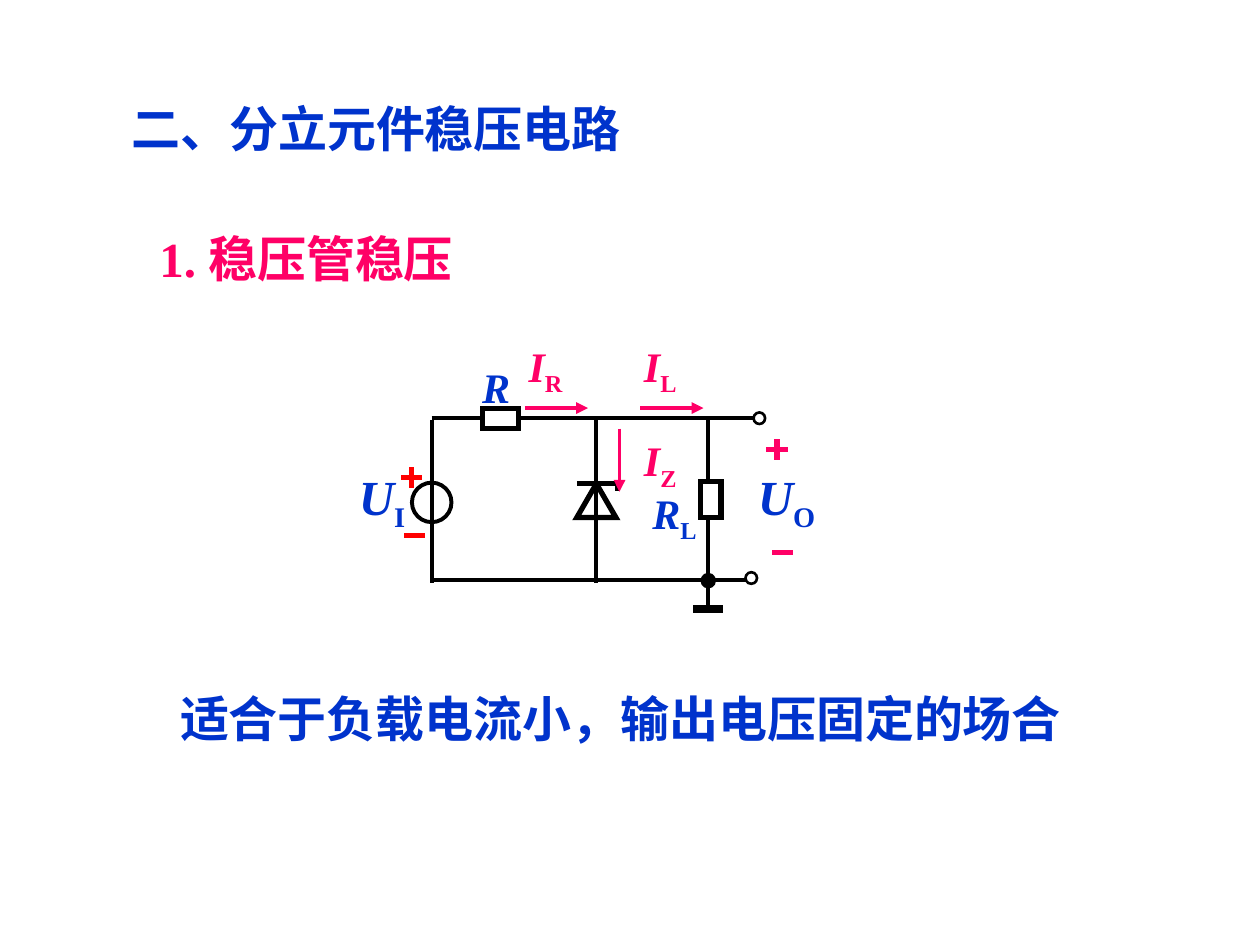
from lxml import etree
from pptx import Presentation
from pptx.dml.color import RGBColor
from pptx.enum.shapes import MSO_CONNECTOR, MSO_SHAPE
from pptx.enum.text import MSO_AUTO_SIZE, PP_ALIGN
from pptx.oxml.ns import qn
from pptx.util import Pt

STRAIGHT = MSO_CONNECTOR.STRAIGHT
RECTANGLE, ELLIPSE = MSO_SHAPE.RECTANGLE, MSO_SHAPE.OVAL
TRIANGLE = MSO_SHAPE.ISOSCELES_TRIANGLE
FIT = MSO_AUTO_SIZE.SHAPE_TO_FIT_TEXT
LEFT, CENTER = PP_ALIGN.LEFT, PP_ALIGN.CENTER

COLORS = {"blue": "0033CC", "pink": "FF0066", "red": "FF0000",
          "black": "000000", "white": "FFFFFF"}
LATIN, CHINESE = "Times New Roman", "Noto Sans CJK SC"


class CircuitPage:
    """Holds the text style and the shape collection being drawn into."""

    def __init__(self, page):
        self.page = page
        self.shapes = page.shapes

    def start_group(self):
        self.shapes = self.page.shapes.add_group_shape().shapes

    def color(self, name):
        return RGBColor.from_string(COLORS[name])

    def style(self, span, size, color, font=LATIN, italic=False, baseline=0):
        span.font.size = Pt(size)
        span.font.name = font
        span.font.bold = True
        span.font.italic = italic
        span.font.color.rgb = self.color(color)
        properties = span._r.get_or_add_rPr()
        if baseline:
            properties.set("baseline", str(baseline * 1000))
        latin = properties.find(qn("a:latin"))
        latin.addnext(etree.Element(qn("a:ea"), typeface=CHINESE))

    def text_box(self, left, top, width, height, text, align=LEFT):
        box = self.shapes.add_textbox(Pt(left), Pt(top), Pt(width), Pt(height))
        frame = box.text_frame
        frame.word_wrap = True
        frame.auto_size = FIT
        frame.text = text
        para = frame.paragraphs[0]
        para.alignment = align
        return para

    def heading(self, left, top, width, text, color, font=LATIN):
        para = self.text_box(left, top, width, 41, text)
        self.style(para.runs[0], 28, color, font)

    def symbol(self, left, top, width, height, letter, subscript, size, color,
               align=LEFT):
        """Write an italic quantity with an optional upright subscript."""
        para = self.text_box(left, top, width, height, letter, align)
        self.style(para.runs[0], size, color, italic=True)
        if subscript:
            span = para.add_run()
            span.text = subscript
            self.style(span, size, color, baseline=-25)

    def line(self, x1, y1, x2, y2, color="black", width=2.25, arrow=False):
        wire = self.shapes.add_connector(STRAIGHT, Pt(x1), Pt(y1), Pt(x2), Pt(y2))
        wire.line.color.rgb = self.color(color)
        wire.line.width = Pt(width)
        if arrow:
            outline = wire.line._get_or_add_ln()
            etree.SubElement(outline, qn("a:tailEnd"), type="triangle")
        etree.SubElement(wire._element.spPr, qn("a:effectLst"))

    def shape(self, kind, left, top, width, height, line_width, fill=None):
        """Draw a part with a black outline and sharp corners."""
        part = self.shapes.add_shape(kind, Pt(left), Pt(top), Pt(width), Pt(height))
        part.shadow.inherit = False
        part.line.color.rgb = self.color("black")
        part.line.width = Pt(line_width)
        etree.SubElement(part.line._get_or_add_ln(), qn("a:miter"), lim="800000")
        if fill:
            part.fill.solid()
            part.fill.fore_color.rgb = self.color(fill)
        else:
            part.fill.background()

    def minus(self, x, y, color):
        self.line(x - 6, y, x + 6, y, color, 3)

    def plus(self, x, y, color):
        self.line(x, y - 6, x, y + 6, color, 3)
        self.minus(x, y, color)


def draw_circuit(sheet):
    source_x, diode_x, load_x = 246.7, 340.8, 404.7
    top_y, bottom_y, bar_y = 239, 331.2, 276.4
    terminal = 6.6

    sheet.start_group()
    sheet.line(source_x, top_y + 1, source_x, bottom_y + 2)
    sheet.line(diode_x, top_y, diode_x, bottom_y + 2)
    sheet.line(source_x, top_y, 430.6, top_y)
    sheet.line(load_x, top_y + 1, load_x, 346.3)
    sheet.line(source_x - 0.7, bottom_y, 429.8, bottom_y)

    sheet.line(diode_x - 11.2, bar_y, diode_x + 11.2, bar_y, width=3)
    sheet.line(352.8, 275, 352.8, 280.8, width=3)
    sheet.shape(TRIANGLE, diode_x - 11.2, bar_y, 22.4, 19.4, 3)
    sheet.shape(RECTANGLE, 275.7, 233.3, 20.8, 11.7, 3, "white")
    sheet.shape(RECTANGLE, 400.4, 275, 11.7, 20.8, 3, "white")
    sheet.shape(ELLIPSE, source_x - 11.3, 275.8, 22.6, 22.6, 2.25)
    sheet.line(load_x - 8.5, 347.8, load_x + 8.5, 347.8, width=4.5)
    sheet.shape(ELLIPSE, load_x - terminal / 2, 328.5, terminal, terminal, 2.25, "black")
    for left, top in ((430.6, 235.7), (426, 327)):
        sheet.shape(ELLIPSE, left, top, terminal, terminal, 1.5, "white")

    sheet.plus(235.3, 273, "red")
    sheet.minus(236.9, 306, "red")
    sheet.plus(444, 257, "pink")
    sheet.minus(447.3, 315.8, "pink")

    for x1, y1, x2, y2 in ((300, 233.2, 336, 233.2),
                           (366, 233.2, 402, 233.2),
                           (354, 245, 354, 281)):
        sheet.line(x1, y1, x2, y2, "pink", arrow=True)

    for left, subscript in ((198, "I"), (426, "O")):
        sheet.symbol(left, 262.8, 66, 45.4, "U", subscript, 28, "blue")
    sheet.symbol(258, 203, 51, 36, "R", "", 24, "blue", CENTER)
    sheet.symbol(360, 275, 51, 40.3, "R", "L", 24, "blue", CENTER)
    for left, top, subscript in ((295, 190.8, "R"),
                                 (360.9, 190.8, "L"),
                                 (360.9, 244.8, "Z")):
        sheet.symbol(left, top, 38, 40.3, "I", subscript, 24, "pink")


def main():
    deck = Presentation()
    deck.slide_width, deck.slide_height = Pt(720), Pt(540)
    page = deck.slides.add_slide(deck.slide_layouts[6])
    sheet = CircuitPage(page)
    sheet.heading(68, 53, 326, "二、分立元件稳压电路", "blue", CHINESE)
    sheet.heading(84, 127, 234, "1. 稳压管稳压", "pink")
    sheet.heading(95.8, 390.2, 558, "适合于负载电流小，输出电压固定的场合", "blue")
    draw_circuit(sheet)
    deck.save("out.pptx")


if __name__ == "__main__":
    main()
